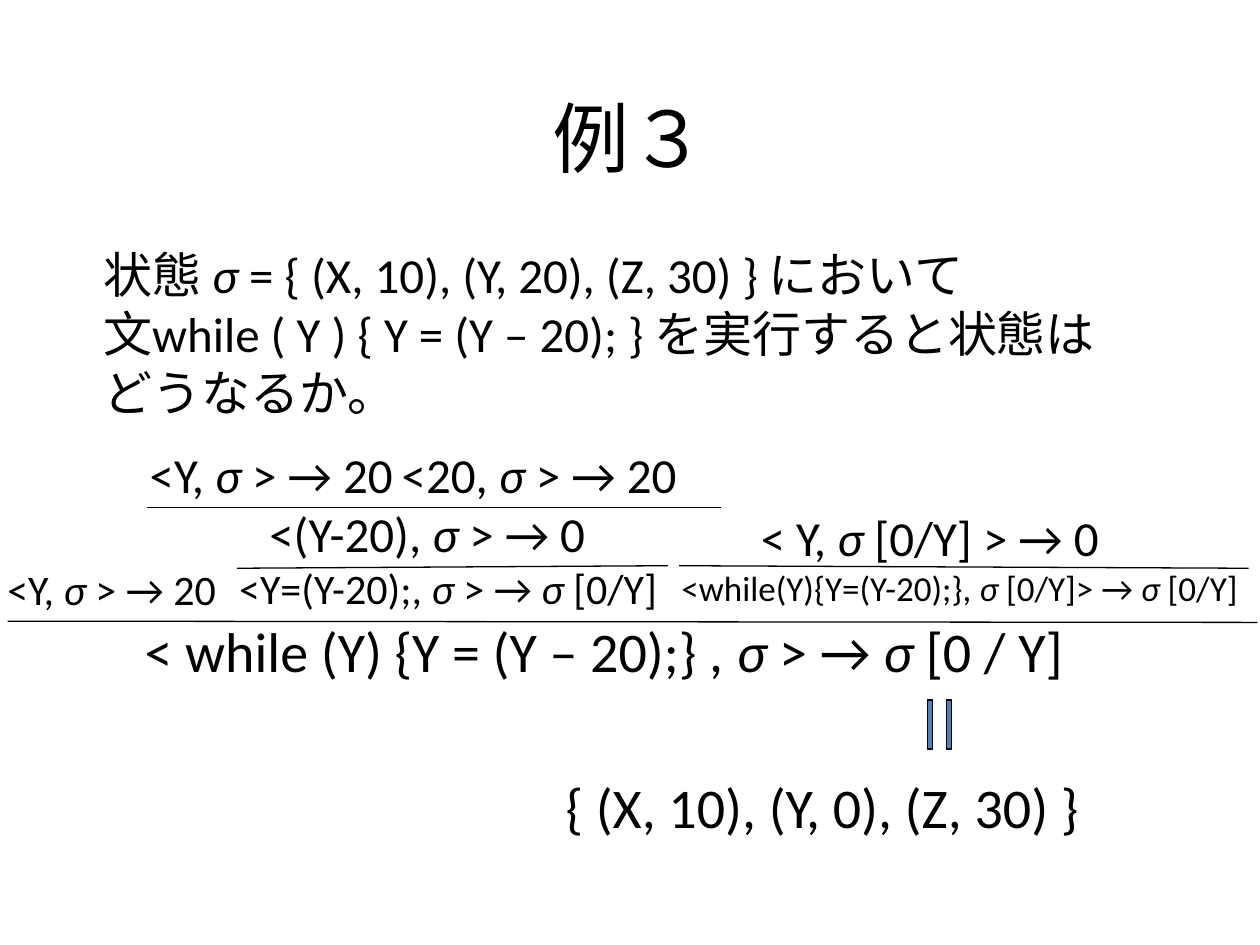
import pptx
import pptx.dml.color
import pptx.enum.shapes
import pptx.enum.text
import pptx.oxml.ns
import pptx.util
from lxml import etree

WIDTH, HEIGHT = 10, 7.5
COLUMNS, ROWS = 100, 75
INK = "000000"
EQUALS_FILL = "4F81BD"


def color(value):
    return pptx.dml.color.RGBColor.from_string(value)


def column(count):
    return pptx.util.Inches(WIDTH * count / COLUMNS)


def row(count):
    return pptx.util.Inches(HEIGHT * count / ROWS)


def add_element(parent, tag, **attributes):
    element = etree.SubElement(parent, pptx.oxml.ns.qn(tag))
    for name, value in attributes.items():
        element.set(name, str(value))
    return element


def place(shape, left, top, width, height):
    shape.left, shape.top = column(left), row(top)
    shape.width, shape.height = column(width), row(height)


def write_line(para, text, size=28, indent=0, tab=None, align="LEFT"):
    properties = para._p.get_or_add_pPr()
    properties.set("marL", str(column(indent)))
    properties.set("indent", "0")
    add_element(properties, "a:buNone")
    if tab:
        stops = add_element(properties, "a:tabLst")
        add_element(stops, "a:tab", pos=column(tab), algn="l")
    para.space_before = pptx.util.Pt(0)
    para.alignment = getattr(pptx.enum.text.PP_ALIGN, align)
    for index, part in enumerate(text.split("*")):
        if part:
            span = para.add_run()
            span.text = part
            span.font.name = "Calibri"
            span.font.size = pptx.util.Pt(size)
            span.font.italic = index % 2 == 1
            span.font.color.rgb = color(INK)


def write_lines(box, lines, anchor="TOP"):
    frame = box.text_frame
    frame.word_wrap = True
    frame.auto_size = pptx.enum.text.MSO_AUTO_SIZE.NONE
    frame.vertical_anchor = getattr(pptx.enum.text.MSO_ANCHOR, anchor)
    for index, (text, style) in enumerate(lines):
        para = frame.add_paragraph() if index else frame.paragraphs[0]
        write_line(para, text, **style)


def add_judgement(page, area, *lines):
    box = page.shapes.add_textbox(0, 0, 0, 0)
    place(box, *area)
    write_lines(box, lines)


def add_inference_line(page, left, top, right, bottom):
    line = page.shapes.add_connector(
        pptx.enum.shapes.MSO_CONNECTOR.STRAIGHT,
        column(left), row(top), column(right), row(bottom))
    line.line.color.rgb = color(INK)
    line.line.width = pptx.util.Pt(0.75)
    add_element(line._element.spPr, "a:effectLst")


def add_equals(page, area):
    sign = page.shapes.add_shape(
        pptx.enum.shapes.MSO_SHAPE.MATH_EQUAL, 0, 0, 0, 0)
    place(sign, *area)
    sign.rotation = 270
    sign.adjustments[0] = 0.1
    sign.adjustments[1] = 0.28
    sign.shadow.inherit = False
    sign.fill.solid()
    sign.fill.fore_color.rgb = color(EQUALS_FILL)
    sign.line.color.rgb = color(INK)
    sign.line.width = pptx.util.Pt(0.75)


def main():
    deck = pptx.Presentation()
    deck.slide_width = pptx.util.Inches(WIDTH)
    deck.slide_height = pptx.util.Inches(HEIGHT)
    page = deck.slides.add_slide(deck.slide_layouts[1])
    title, question = page.placeholders

    place(title, 7.5, 4.6, 85, 12.5)
    write_lines(title, [("例３", dict(size=44, align="CENTER"))], anchor="MIDDLE")
    place(question, 7.2, 18.9, 83.8, 15.1)
    write_lines(question, [
        ("状態 *σ* = { (X, 10), (Y, 20), (Z, 30) } において", {}),
        ("文while ( Y ) { Y = (Y – 20); } を実行すると状態はどうなるか。", {}),
    ])

    add_judgement(page, (10.9, 34.8, 47.6, 5.7),
                  ("<Y, *σ *> → 20\t<20, *σ *> → 20", dict(tab=22)))
    add_judgement(page, (14.3, 39.5, 40.4, 9.8),
                  ("<(Y-20), *σ *> → 0", dict(indent=6.1)),
                  ("<Y=(Y-20);, *σ *> → *σ *[0/Y]", dict(size=24, indent=3.7)))
    add_judgement(page, (53.1, 39.8, 47.6, 9.1),
                  ("< Y, *σ *[0/Y] > → 0", dict(indent=6.3)),
                  ("<while(Y){Y=(Y-20);}, *σ *[0/Y]> → *σ *[0/Y]", dict(size=20)))
    add_judgement(page, (-0.4, 44.2, 22.2, 5),
                  ("<Y, *σ *> → 20", dict(size=24)))
    add_judgement(page, (10.5, 48.4, 79.3, 6.4),
                  ("< while (Y) {Y = (Y – 20);} , *σ* > → *σ *[0 / Y]", dict(size=32)))
    add_judgement(page, (43.9, 60.8, 50.6, 6.4),
                  ("{ (X, 10), (Y, 0), (Z, 30) }", dict(size=32)))

    for ends in (
        (11.7, 40.3, 57.2, 40.3),
        (18.8, 45.1, 53, 44.9),
        (53.9, 44.9, 99.1, 45.1),
        (0.6, 49.3, 99.8, 49.4),
    ):
        add_inference_line(page, *ends)
    add_equals(page, (71.9, 55.5, 5.3, 4))

    deck.save("out.pptx")


if __name__ == "__main__":
    main()
